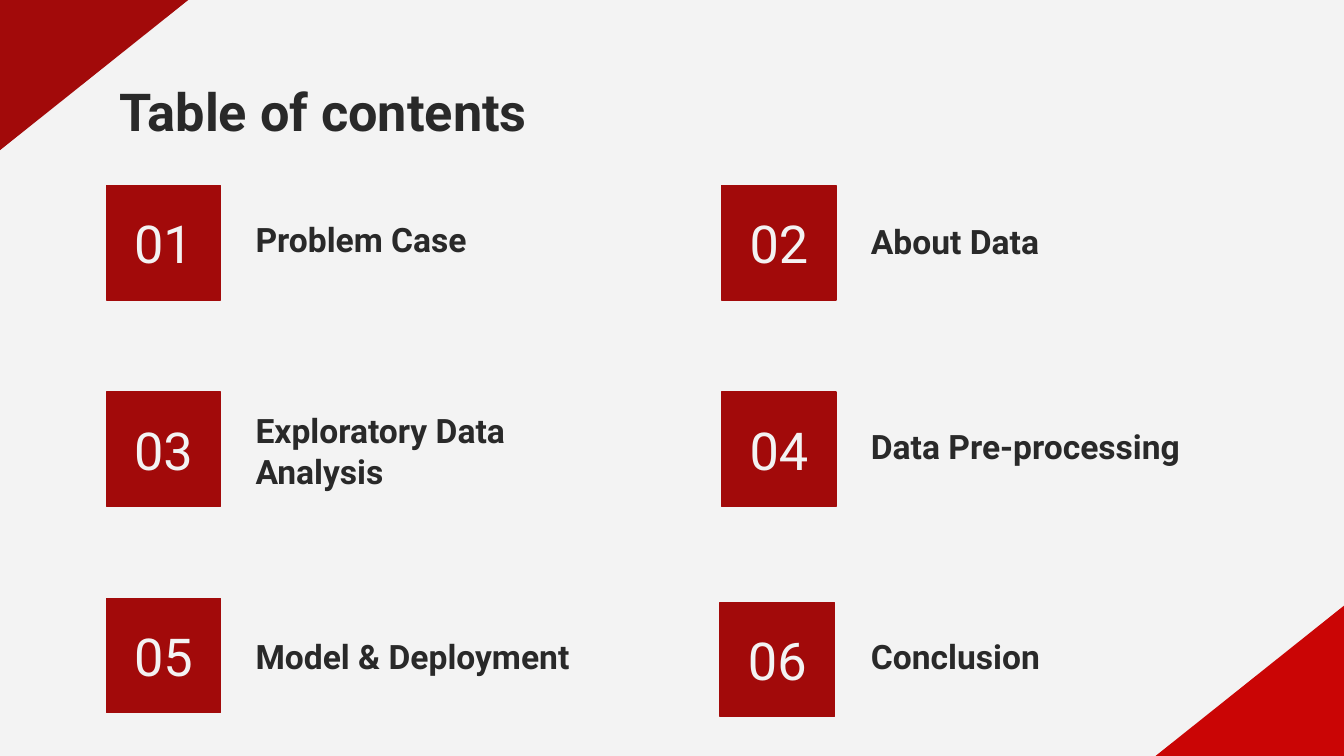
from pptx import Presentation
from pptx.dml.color import RGBColor
from pptx.enum.shapes import MSO_SHAPE
from pptx.enum.text import MSO_ANCHOR, MSO_AUTO_SIZE, PP_ALIGN
from pptx.util import Cm, Pt

PAPER = RGBColor(0xF3, 0xF3, 0xF3)
INK = RGBColor(0x29, 0x29, 0x29)
DARK_RED = RGBColor(0xA2, 0x0A, 0x0A)
BRIGHT_RED = RGBColor(0xCA, 0x05, 0x05)

PAGE_WIDTH, PAGE_HEIGHT = 25.4, 14.29
CORNER_WIDTH, CORNER_HEIGHT = 3.56, 2.84
BADGE_SIZE = 2.16
GRID_LEFT, GRID_TOP = 2.01, 3.51
COLUMN_STEP, ROW_STEP = 11.63, 3.9
LABEL_OFFSET, LABEL_WIDTH = 2.57, 7.19

HEADING = {"name": "Roboto", "size": Pt(28), "bold": True}
NUMBER = {"name": "Roboto", "size": Pt(28), "bold": False}
LABEL = {"name": "Roboto", "size": Pt(18), "bold": True}

CHAPTERS = [
    ("Problem Case", 3.99, 1.17),
    ("About Data", 4.01, 1.17),
    ("Exploratory Data Analysis", 7.42, 2.11),
    ("Data Pre-processing", 7.9, 1.17),
    ("Model & Deployment", 11.86, 1.17),
    ("Conclusion", 11.86, 1.17),
]
BADGE_SHIFTS = {6: (-0.03, 0.08)}


def write_text(box, text, format_values, color, alignment, anchor):
    """Fill a box with one formatted paragraph."""
    frame = box.text_frame
    frame_values = {
        "word_wrap": True,
        "auto_size": MSO_AUTO_SIZE.NONE,
        "vertical_anchor": anchor,
    }
    for side in ("left", "right", "top", "bottom"):
        frame_values[f"margin_{side}"] = Cm(0.25)
    for name, value in frame_values.items():
        setattr(frame, name, value)
    para = frame.paragraphs[0]
    para.alignment = alignment
    span = para.add_run()
    span.text = text
    for name, value in format_values.items():
        setattr(span.font, name, value)
    span.font.color.rgb = color


def add_corner(page, points, color):
    """Draw a filled triangle in a corner of the page."""
    builder = page.shapes.build_freeform(
        Cm(points[0][0]), Cm(points[0][1]), scale=1.0
    )
    builder.add_line_segments([(Cm(x), Cm(y)) for x, y in points[1:]], close=True)
    corner = builder.convert_to_shape()
    corner.shadow.inherit = False
    corner.fill.solid()
    corner.fill.fore_color.rgb = color
    corner.line.fill.background()


def place_title(page, text):
    """Move and fill the title placeholder."""
    title = page.shapes.title
    places = {"left": 2.01, "top": 1.24, "width": 21.41, "height": 1.6}
    for name, value in places.items():
        setattr(title, name, Cm(value))
    write_text(title, text, HEADING, INK, PP_ALIGN.LEFT, MSO_ANCHOR.TOP)


def add_badge(page, number, left, top):
    """Add a red square that carries a chapter number."""
    badge = page.shapes.add_shape(
        MSO_SHAPE.RECTANGLE, Cm(left), Cm(top), Cm(BADGE_SIZE), Cm(BADGE_SIZE)
    )
    badge.shadow.inherit = False
    badge.fill.solid()
    badge.fill.fore_color.rgb = DARK_RED
    badge.line.color.rgb = DARK_RED
    badge.line.width = Pt(0.75)
    write_text(
        badge, f"{number:02d}", NUMBER, PAPER, PP_ALIGN.CENTER, MSO_ANCHOR.MIDDLE
    )


def add_label(page, text, left, top, height):
    """Add a chapter name beside its badge."""
    box = page.shapes.add_textbox(Cm(left), Cm(top), Cm(LABEL_WIDTH), Cm(height))
    write_text(box, text, LABEL, INK, PP_ALIGN.LEFT, MSO_ANCHOR.BOTTOM)


def main():
    """Build the contents page."""
    deck = Presentation()
    deck.slide_width, deck.slide_height = Cm(PAGE_WIDTH), Cm(PAGE_HEIGHT)
    page = deck.slides.add_slide(deck.slide_layouts[5])
    page.background.fill.solid()
    page.background.fill.fore_color.rgb = PAPER

    add_corner(page, [(0, 0), (CORNER_WIDTH, 0), (0, CORNER_HEIGHT)], DARK_RED)
    add_corner(
        page,
        [
            (PAGE_WIDTH, PAGE_HEIGHT - CORNER_HEIGHT),
            (PAGE_WIDTH, PAGE_HEIGHT),
            (PAGE_WIDTH - CORNER_WIDTH, PAGE_HEIGHT),
        ],
        BRIGHT_RED,
    )
    place_title(page, "Table of contents")

    for number, (text, label_top, label_height) in enumerate(CHAPTERS, start=1):
        row, column = divmod(number - 1, 2)
        left = GRID_LEFT + column * COLUMN_STEP
        top = GRID_TOP + row * ROW_STEP
        shift_x, shift_y = BADGE_SHIFTS.get(number, (0, 0))
        add_badge(page, number, left + shift_x, top + shift_y)
        add_label(page, text, left + LABEL_OFFSET, label_top, label_height)

    deck.save("out.pptx")


if __name__ == "__main__":
    main()
